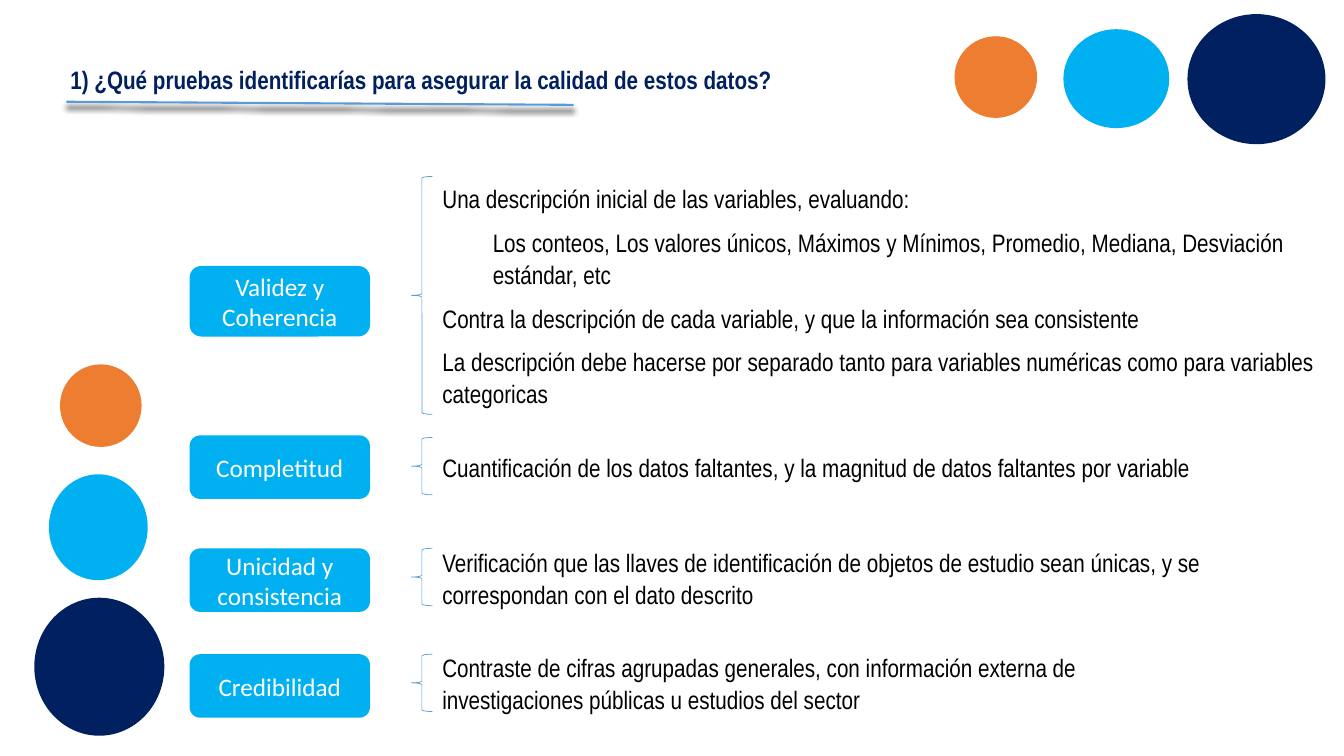
from lxml import etree
from pptx import Presentation
from pptx.dml.color import RGBColor
from pptx.enum.shapes import MSO_CONNECTOR as Conn, MSO_SHAPE as Shape
from pptx.enum.text import MSO_ANCHOR as Anchor, MSO_AUTO_SIZE as Auto, PP_ALIGN as Align
from pptx.oxml.ns import qn
from pptx.util import Pt

NAVY, SKY, ORANGE, BLUE = "002060", "00B0F0", "ED7D31", "5B9BD5"
BLACK, WHITE = "000000", "FFFFFF"
NARROW = "Arial Narrow"

TITLE = "1) ¿Qué pruebas identificarías para asegurar la calidad de estos datos?"

# label, (box top, height), (brace top, height), (text top, width, height), [(level, line)]
ROWS = [
    ("Validez y Coherencia", (190, 50.4), (126, 170), (126, 641.5, 170), [
        (0, "Una descripción inicial de las variables, evaluando:"),
        (1, "Los conteos, Los valores únicos, Máximos y Mínimos, Promedio, Mediana, "
            "Desviación estándar, etc"),
        (0, "Contra la descripción de cada variable, y que la información sea consistente"),
        (0, "La descripción debe hacerse por separado tanto para variables numéricas "
            "como para variables categoricas"),
    ]),
    ("Completitud", (311, 45.4), (312.5, 41), (318.2, 556.6, 28.8), [
        (0, "Cuantificación de los datos faltantes, y la magnitud de datos faltantes "
            "por variable"),
    ]),
    ("Unicidad y consistencia", (391.7, 45.4), (391.7, 41), (385.9, 556.6, 51.8), [
        (0, "Verificación que las llaves de identificación de objetos de estudio sean "
            "únicas, y se correspondan con el dato descrito"),
    ]),
    ("Credibilidad", (467.3, 45.4), (467.3, 41), (460.8, 556.6, 51.8), [
        (0, "Contraste de cifras agrupadas generales, con información externa de "
            "investigaciones públicas u estudios del sector"),
    ]),
]

# colour, width, height, top-right place, left-side place
DOTS = [
    (NAVY, 98.6, 92.9, (848.2, 10.1), (21.6, 429.8)),
    (SKY, 75.6, 70.6, (759.6, 20.9), (32.4, 341.3)),
    (ORANGE, 59, 58.3, (681.8, 25.9), (42.5, 260.6)),
]

BOX_X, BOX_W = 135.4, 128.9
BRACE_X, BRACE_W = 293.8, 15.1
TEXT_X = BRACE_X + BRACE_W

deck = Presentation()
deck.slide_width, deck.slide_height = Pt(960), Pt(540)
slide = deck.slides.add_slide(deck.slide_layouts[6])
shapes = slide.shapes


def color(code):
    return RGBColor.from_string(code)


def style(para, font, code, bold=False):
    for run in para.runs:
        run.font.name = font
        run.font.size = Pt(18)
        run.font.bold = bold
        run.font.color.rgb = color(code)


def add_form(kind, x, y, w, h, fill=None, line=None):
    form = shapes.add_shape(kind, Pt(x), Pt(y), Pt(w), Pt(h))
    form.shadow.inherit = False
    if fill:
        form.fill.solid()
        form.fill.fore_color.rgb = color(fill)
    else:
        form.fill.background()
    if line:
        form.line.color.rgb = color(line)
        form.line.width = Pt(0.5)
    else:
        form.line.fill.background()
    return form


def add_text(x, y, w, h, lines, code, bold=False, wrap=True):
    frame = shapes.add_textbox(Pt(x), Pt(y), Pt(w), Pt(h)).text_frame
    frame.word_wrap = wrap
    frame.auto_size = Auto.SHAPE_TO_FIT_TEXT
    frame.text = "\n".join(text for level, text in lines)
    for para, (level, text) in zip(frame.paragraphs, lines):
        para.level = level
        para.line_spacing = 1.07
        para.space_after = Pt(8)
        style(para, NARROW, code, bold)


def add_rule():
    rule = shapes.add_connector(Conn.STRAIGHT, Pt(47.5), Pt(72.7), Pt(409.7), Pt(74.9))
    rule.line.color.rgb = color(BLUE)
    rule.line.width = Pt(1.5)
    effects = etree.SubElement(rule._element.spPr, qn("a:effectLst"))
    shade = etree.SubElement(effects, qn("a:outerShdw"), blurRad=str(Pt(4)),
                             dist=str(Pt(4)), dir="5400000", algn="t", rotWithShape="0")
    etree.SubElement(shade, qn("a:srgbClr"), val=BLACK)


for fill, w, h, top, side in DOTS:
    add_form(Shape.OVAL, *top, w, h, fill)
    add_form(Shape.OVAL, *side, w, h, fill).rotation = 90

add_rule()
add_text(43.2, 41, 522, 28.8, [(0, TITLE)], NAVY, bold=True, wrap=False)

for label, (box_y, box_h), (brace_y, brace_h), (text_y, text_w, text_h), lines in ROWS:
    add_text(TEXT_X, text_y, text_w, text_h, lines, BLACK)
    add_form(Shape.LEFT_BRACE, BRACE_X, brace_y, BRACE_W, brace_h, line=BLUE)
    frame = add_form(Shape.ROUNDED_RECTANGLE, BOX_X, box_y, BOX_W, box_h, SKY).text_frame
    frame.text = label
    frame.word_wrap = True
    frame.vertical_anchor = Anchor.MIDDLE
    frame.paragraphs[0].alignment = Align.CENTER
    style(frame.paragraphs[0], "Calibri", WHITE)

deck.save("out.pptx")
